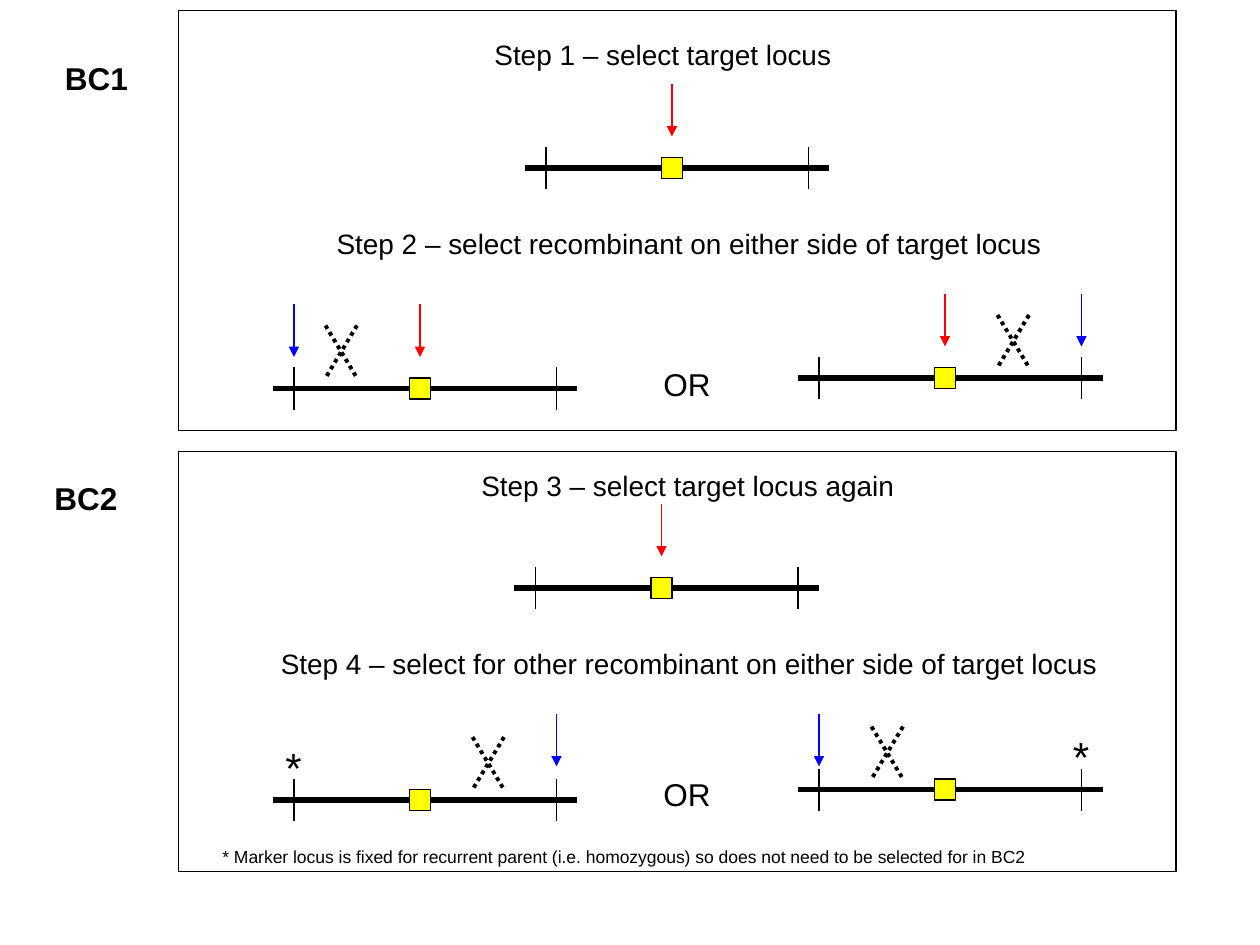
import pptx
import pptx.util
import pptx.dml.color
import pptx.enum.dml
import pptx.enum.shapes
import pptx.enum.text
import pptx.oxml.ns
import lxml.etree

Pt = pptx.util.Pt
rect = pptx.enum.shapes.MSO_SHAPE.RECTANGLE
align = pptx.enum.text.PP_ALIGN
hues = {"ink": "000000", "paper": "FFFFFF", "locus": "FFFF00",
        "target": "FF0000", "flank": "0000FF"}
tint = {name: pptx.dml.color.RGBColor.from_string(code) for name, code in hues.items()}

deck = pptx.Presentation()
deck.slide_width = pptx.util.Inches(10)
deck.slide_height = pptx.util.Inches(7.5)
unit = deck.slide_width / 120
slide = deck.slides.add_slide(deck.slide_layouts[6])
shapes = slide.shapes


def box(x, y, wide, high, fill):
    item = shapes.add_shape(rect, *[round(n * unit) for n in (x, y, wide, high)])
    item.shadow.inherit = False
    item.fill.solid()
    item.fill.fore_color.rgb = tint[fill]
    item.line.color.rgb = tint["ink"]
    item.line.width = Pt(0.75)


def line(x1, y1, x2, y2, hue="ink", width=0.75, dots=False, head=False):
    item = shapes.add_connector(pptx.enum.shapes.MSO_CONNECTOR.STRAIGHT,
                                *[round(n * unit) for n in (x1, y1, x2, y2)])
    item.line.color.rgb = tint[hue]
    item.line.width = Pt(width)
    if dots:
        item.line.dash_style = pptx.enum.dml.MSO_LINE.ROUND_DOT
    if head:
        tip = lxml.etree.SubElement(item.line._get_or_add_ln(), pptx.oxml.ns.qn("a:tailEnd"))
        tip.set("type", "triangle")
    lxml.etree.SubElement(item._element.spPr, pptx.oxml.ns.qn("a:effectLst"))


for top in (1, 43):
    box(17, top, 95, 40, "paper")

for x, y in ((64, 16), (40, 37), (90, 36), (63, 56), (40, 76.2), (90, 75.2)):
    line(x - 14, y, x + 15, y, width=3)
    box(x - 1, y - 1, 2, 2, "locus")
    for tick in (x - 12, x + 13):
        line(tick, y - 2, tick, y + 2)

for x, y in ((31, 31), (95, 30), (45, 70.2), (83, 69.2)):
    line(x, y, x + 3, y + 5, width=2.25, dots=True)
    line(x + 3, y, x, y + 5, width=2.25, dots=True)

arrows = {
    "target": ((64, 8), (40, 29), (90, 28), (63, 48)),
    "flank": ((28, 29), (103, 28), (53, 68), (78, 68)),
}
for hue, spots in arrows.items():
    for x, y in spots:
        line(x, y, x, y + 5, hue, head=True)

texts = (
    ("BC1", 5, 5, 9, 18, True, align.LEFT),
    ("BC2", 4, 45, 9, 18, True, align.LEFT),
    ("Step 1 – select target locus ", 29, 3, 69, 16, False, align.CENTER),
    ("Step 2 – select recombinant on either side of target locus ",
     24, 21, 84, 16, False, align.CENTER),
    ("Step 3 – select target locus again", 31, 44, 69, 16, False, align.CENTER),
    ("Step 4 – select for other recombinant on either side of target locus ",
     24, 61, 84, 16, False, align.CENTER),
    ("OR", 62, 34.2, 9, 18, False, align.LEFT),
    ("OR", 62, 73.2, 9, 18, False, align.LEFT),
    ("*", 26, 70, 4, 24, False, align.LEFT),
    ("*", 101, 69, 4, 24, False, align.LEFT),
    ("* Marker locus is fixed for recurrent parent (i.e. homozygous) "
     "so does not need to be selected for in BC2", 20, 80, 100, 10, False, align.LEFT),
)
for words, x, y, wide, size, bold, side in texts:
    high = 1.2 + size / 5
    label = shapes.add_textbox(*[round(n * unit) for n in (x, y, wide, high)])
    frame = label.text_frame
    frame.word_wrap = True
    frame.auto_size = pptx.enum.text.MSO_AUTO_SIZE.SHAPE_TO_FIT_TEXT
    para = frame.paragraphs[0]
    para.text = words
    para.alignment = side
    para.font.name = "Arial"
    para.font.size = Pt(size)
    para.font.bold = bold
    para.font.color.rgb = tint["ink"]

deck.save("out.pptx")
